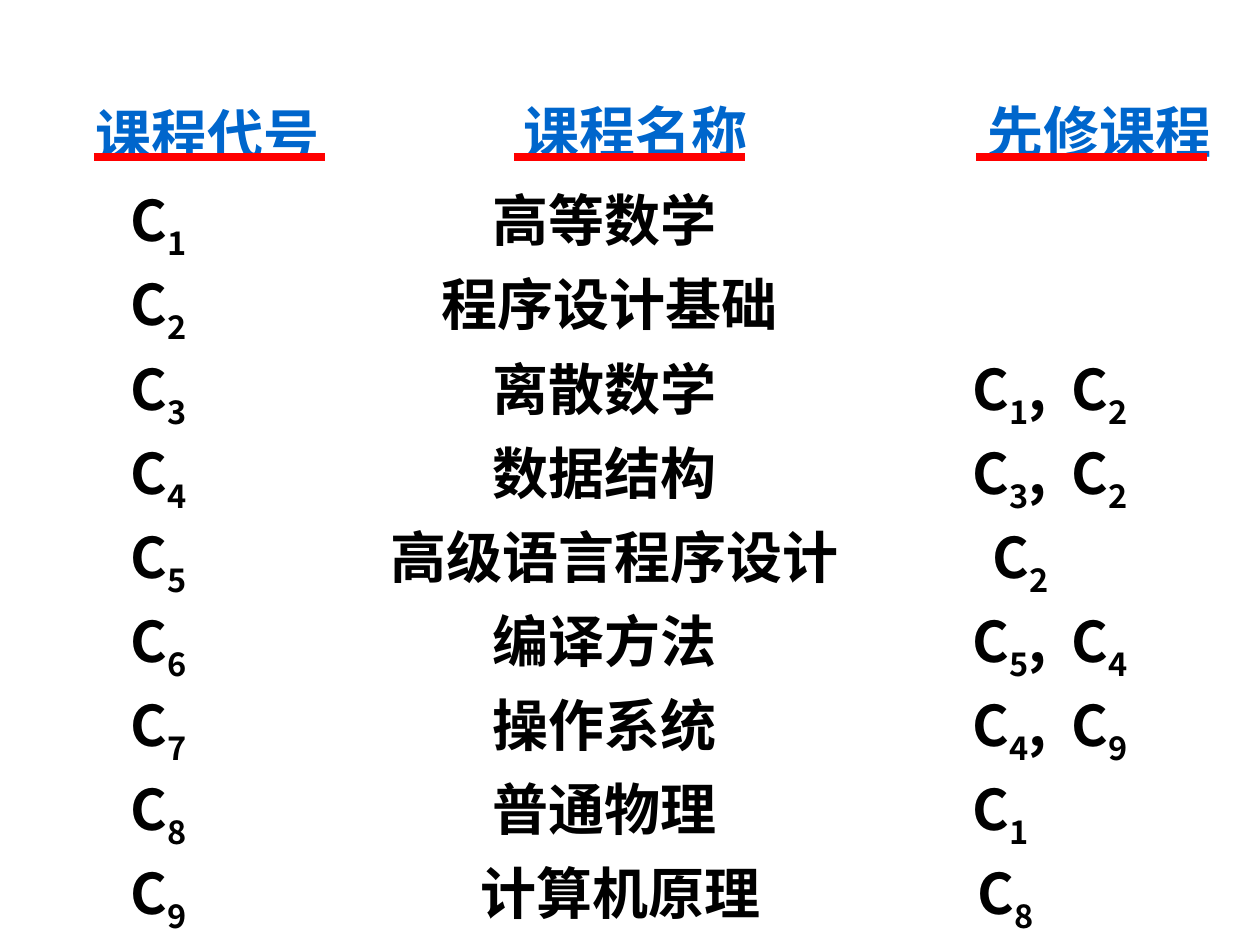
from lxml import etree
from pptx import Presentation
from pptx import util as u
from pptx.dml.color import RGBColor
from pptx.enum import shapes, text
from pptx.oxml.ns import qn

FONT = "Noto Sans CJK SC"
BLUE, RED, BLACK = "0066CC", "FF0000", "000000"
HEADS = [
    ("课程代号", (84, 94, 252, 53), 94),
    ("课程名称", (512, 91, 238, 57), 514),
    ("先修课程", (976, 91, 238, 57), 976),
]
RULE_Y, RULE_W = 157, 231
BODY = (67, 172, 1140, 678)
CODE_X, NEXT_GAP = 51, 99
ROWS = [
    ("高等数学", 525, [], 893),
    ("程序设计基础", 530, [], 893),
    ("离散数学", 525, [1, 2], 893),
    ("数据结构", 525, [3, 2], 893),
    ("高级语言程序设计", 535, [2], 913),
    ("编译方法", 525, [5, 4], 893),
    ("操作系统", 525, [4, 9], 893),
    ("普通物理", 525, [1], 893),
    ("计算机原理", 541, [8], 898),
]


def px(n):
    return u.Emu(n * 914400 // 126)


def rgb(code):
    return RGBColor.from_string(code)


def style(run, color):
    font = run.font
    font.size, font.bold, font.name = u.Pt(32), True, FONT
    font.color.rgb = rgb(color)
    etree.SubElement(font._element, qn("a:ea"), typeface=FONT)


def add_box(slide, area):
    frame = slide.shapes.add_textbox(*map(px, area)).text_frame
    frame.vertical_anchor = text.MSO_ANCHOR.TOP
    return frame


def add_tabs(para, stops):
    tabs = etree.SubElement(para._p.get_or_add_pPr(), qn("a:tabLst"))
    for pos, kind in stops:
        etree.SubElement(tabs, qn("a:tab"), pos=str(px(pos)), algn=kind)


def add_run(para, words, low=False):
    run = para.add_run()
    run.text = words
    style(run, BLACK)
    if low:
        run.font._element.set("baseline", "-25000")


def add_code(para, lead, num):
    add_run(para, lead + "C")
    add_run(para, str(num), True)


def add_row(para, num, row):
    name, mid, needs, left = row
    para.line_spacing = 1.1
    add_tabs(para, [(CODE_X, "l"), (mid, "ctr"), (left, "l"), (left + NEXT_GAP, "l")])
    add_code(para, "\t", num)
    add_run(para, "\t" + name)
    for i, need in enumerate(needs):
        add_code(para, ",\t" if i else "\t", need)


def add_head(slide, words, area, left):
    frame = add_box(slide, area)
    frame.word_wrap = False
    frame.margin_left, frame.margin_right = px(12), 0
    frame.text = words
    style(frame.paragraphs[0].runs[0], BLUE)
    line = slide.shapes.add_connector(
        shapes.MSO_CONNECTOR.STRAIGHT, px(left), px(RULE_Y), px(left + RULE_W), px(RULE_Y))
    line.line.color.rgb = rgb(RED)
    line.line.width = u.Pt(4.5)
    etree.SubElement(line._element.spPr, qn("a:effectLst"))


def main():
    deck = Presentation()
    deck.slide_width, deck.slide_height = px(1260), px(945)
    slide = deck.slides.add_slide(deck.slide_layouts[6])
    body = add_box(slide, BODY)
    body.word_wrap = True
    for num, row in enumerate(ROWS, 1):
        para = body.paragraphs[0] if num == 1 else body.add_paragraph()
        add_row(para, num, row)
    for head in HEADS:
        add_head(slide, *head)
    deck.save("out.pptx")


if __name__ == "__main__":
    main()
